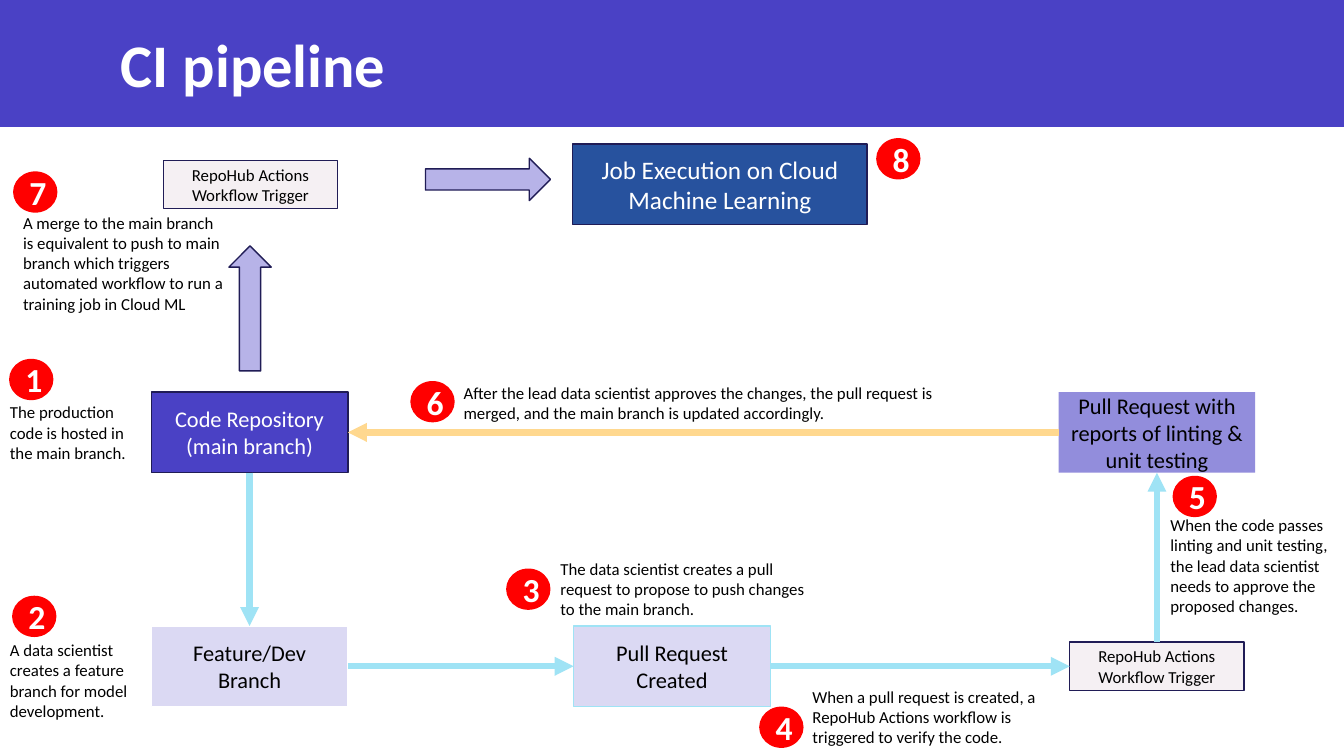
from lxml import etree
from pptx import Presentation
from pptx import util as u
from pptx.dml.color import RGBColor
from pptx.enum import shapes, text
from pptx.oxml import ns

PX = 9144  # 100 px to the inch
FONT = "Calibri"
INDIGO = RGBColor(0x4A, 0x41, 0xC5)
NAVY = RGBColor(0x20, 0x1C, 0x56)
BLUE = RGBColor(0x27, 0x52, 0x9E)
LAVENDER = RGBColor(0xDB, 0xD9, 0xF3)
VIOLET = RGBColor(0x92, 0x8D, 0xDC)
LILAC = RGBColor(0xB7, 0xB3, 0xE8)
PALE = RGBColor(0xF5, 0xF0, 0xF3)
SKY = RGBColor(0x9F, 0xE3, 0xF5)
AMBER = RGBColor(0xFF, 0xD8, 0x8F)
RED = RGBColor(0xFF, 0, 0)
WHITE = RGBColor(0xFF, 0xFF, 0xFF)
BLACK = RGBColor(0, 0, 0)

# Content: lengths in px
TITLE = "CI pipeline"
TRIGGER = "RepoHub Actions Workflow Trigger"
STAGE, SMALL, WIDE = (195, 80), (173, 48), (292, 80)

# name: (left, top), size, fill, line, text, font size, font colour
BOXES = {
    "main": ((150, 389), STAGE, INDIGO, NAVY,
             "Code Repository\n(main branch)", 16, WHITE),
    "feature": ((150, 621), STAGE, LAVENDER, WHITE, "Feature/Dev Branch", 16, BLACK),
    "request": ((569, 621), STAGE, LAVENDER, SKY, "Pull Request Created", 16, BLACK),
    "check": ((1061, 637), SMALL, PALE, NAVY, TRIGGER, 12, BLACK),
    "report": ((1050, 389), STAGE, VIOLET, None,
               "Pull Request with reports of linting & unit testing", 16, BLACK),
    "release": ((162, 159), SMALL, PALE, NAVY, TRIGGER, 12, BLACK),
    "job": ((568, 143), WIDE, BLUE, NAVY,
            "Job Execution on Cloud Machine Learning", 18, WHITE),
}
# from box, side, to box, side, colour (0 top, 1 left, 2 bottom, 3 right)
LINKS = [
    ("main", 2, "feature", 0, SKY),
    ("feature", 3, "request", 1, SKY),
    ("request", 3, "check", 1, SKY),
    ("check", 0, "report", 2, SKY),
    ("report", 1, "main", 3, AMBER),
]
# left, top, rotation
BLOCK_ARROWS = [(186, 285, 270), (422, 157, 0)]
# left, top, width, height, text
NOTES = [
    (0, 394, 156, 71, "The production code is hosted in the main branch."),
    (0, 630, 156, 91, "A data scientist creates a feature branch for model development."),
    (546, 549, 265, 71, "The data scientist creates a pull request to propose to push "
                        "changes to the main branch."),
    (796, 676, 265, 71, "When a pull request is created, a RepoHub Actions workflow is "
                        "triggered to verify the code."),
    (1151, 506, 180, 131, "When the code passes linting and unit testing, the lead data "
                          "scientist needs to approve the proposed changes."),
    (450, 375, 526, 50, "After the lead data scientist approves the changes, the pull "
                        "request is merged, and the main branch is updated accordingly."),
    (13, 206, 219, 131, "A merge to the main branch is equivalent to push to main branch "
                        "which triggers automated workflow to run a training job in Cloud ML"),
]
# Left and top of steps 1 to 8
BADGES = [(9, 356), (12, 591), (502, 564), (753, 701),
          (1163, 472), (407, 378), (13, 170), (869, 137)]


def emu(*lengths):
    return [length * PX for length in lengths]


def write(frame, words, size, color, bold=False, align=text.PP_ALIGN.CENTER,
          anchor=text.MSO_ANCHOR.MIDDLE):
    frame.word_wrap = True
    frame.vertical_anchor = anchor
    frame.text = words
    look = {"name": FONT, "size": u.Pt(size), "bold": bold}
    for para in frame.paragraphs:
        para.alignment = align
        for span in para.runs:
            for key, value in look.items():
                setattr(span.font, key, value)
            span.font.color.rgb = color


def add_shape(page, kind, place, fill, line=None):
    shape = page.shapes.add_shape(kind, *emu(*place))
    shape.shadow.inherit = False
    shape.fill.solid()
    shape.fill.fore_color.rgb = fill
    if line is None:
        shape.line.fill.background()
    else:
        shape.line.color.rgb = line
        shape.line.width = u.Pt(1)
    return shape


def add_link(page, start, start_side, end, end_side, color):
    link = page.shapes.add_connector(shapes.MSO_CONNECTOR.STRAIGHT, 0, 0, 0, 0)
    link.begin_connect(start, start_side)
    link.end_connect(end, end_side)
    link.line.color.rgb = color
    link.line.width = u.Pt(4.5)
    etree.SubElement(link.line._get_or_add_ln(), ns.qn("a:tailEnd"), type="triangle")
    etree.SubElement(link._element.spPr, ns.qn("a:effectLst"))


def main():
    deck = Presentation()
    deck.slide_width, deck.slide_height = emu(1333, 750)
    page = deck.slides.add_slide(deck.slide_layouts[5])
    kinds = shapes.MSO_SHAPE

    # Title on its band
    band = add_shape(page, kinds.RECTANGLE, (0, 0, 1333, 126), INDIGO)
    title = page.shapes.title
    title._element.addprevious(band._element)
    title.left, title.top, title.width, title.height = emu(110, 21, 1030, 84)
    write(title.text_frame, TITLE, 43.2, WHITE, True, text.PP_ALIGN.LEFT)
    title.text_frame.auto_size = text.MSO_AUTO_SIZE.NONE

    # Pipeline stages
    stages = {}
    for name, (corner, size, fill, line, words, points, color) in BOXES.items():
        stages[name] = add_shape(page, kinds.RECTANGLE, corner + size, fill, line)
        write(stages[name].text_frame, words, points, color)

    # Arrows between stages
    for start, start_side, end, end_side, color in LINKS:
        add_link(page, stages[start], start_side, stages[end], end_side, color)
    for left, top, turn in BLOCK_ARROWS:
        arrow = add_shape(page, kinds.RIGHT_ARROW, (left, top, 124, 42), LILAC, NAVY)
        arrow.rotation = turn

    # Explanations
    for left, top, width, height, words in NOTES:
        note = page.shapes.add_textbox(*emu(left, top, width, height))
        write(note.text_frame, words, 12, BLACK, align=text.PP_ALIGN.LEFT,
              anchor=text.MSO_ANCHOR.TOP)
        note.text_frame.auto_size = text.MSO_AUTO_SIZE.SHAPE_TO_FIT_TEXT

    # Step numbers
    for number, corner in enumerate(BADGES, 1):
        badge = add_shape(page, kinds.OVAL, corner + (44, 41), RED)
        write(badge.text_frame, str(number), 24, WHITE, True)

    deck.save("out.pptx")


if __name__ == "__main__":
    main()
